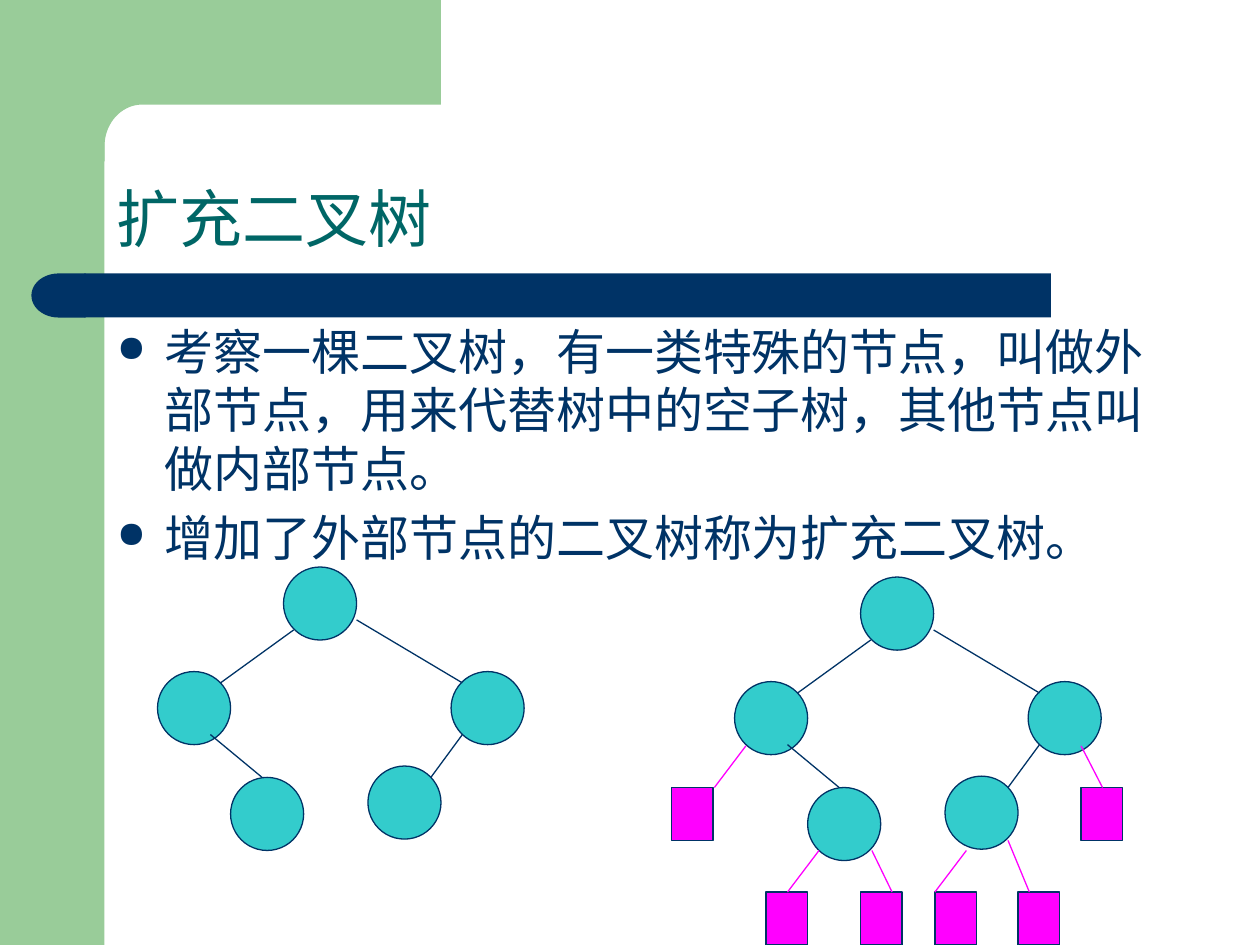
import math
import pptx
import pptx.util
import pptx.dml.color
import pptx.enum.shapes
import pptx.enum.text
import pptx.oxml
import pptx.oxml.ns

Inches = pptx.util.Inches
Pt = pptx.util.Pt
SHAPES = pptx.enum.shapes.MSO_SHAPE
ANCHORS = pptx.enum.text.MSO_ANCHOR

# Content
TITLE = "扩充二叉树"
BULLETS = [
    "考察一棵二叉树，有一类特殊的节点，叫做外部节点，用来代替树中的空子树，其他节点叫做内部节点。",
    "增加了外部节点的二叉树称为扩充二叉树。",
]

# The binary tree, placed once at the left and once at the right
INTERNAL_NODES = [(2.25, 4.5), (2.92, 6.08), (3.58, 5.33), (1.25, 5.33), (1.83, 6.17)]
INTERNAL_EDGES = [
    ((2.33, 5), (1.75, 5.42)),
    ((1.67, 5.83), (2.08, 6.17)),
    ((3.67, 5.83), (3.42, 6.17)),
    ((2.83, 4.92), (3.67, 5.42)),
]
TREE_OFFSETS = [(0, 0), (4.58, 0.08)]

# External nodes of the extended tree, grouped by level: top -> left edges
EXTERNAL_LEVELS = {6.25: [5.33, 8.58], 7.08: [6.08, 6.83, 7.42, 8.08]}
EXTERNAL_EDGES = [
    ((5.92, 5.92), (5.67, 6.25)),
    ((6.5, 6.75), (6.25, 7.08)),
    ((7.67, 6.75), (7.42, 7.08)),
    ((6.92, 6.75), (7.08, 7.08)),
    ((8, 6.67), (8.17, 7.08)),
    ((8.58, 5.92), (8.75, 6.25)),
]

THEME = {
    "font": "Arial",
    "title_size": 36,
    "body_size": 28,
    "line_width": 0.75,
    "green": "99CC99",
    "navy": "003366",
    "title": "006666",
    "internal": "33CCCC",
    "external": "FF00FF",
}
NODE_SIZE = 0.58
LEAF_WIDTH, LEAF_HEIGHT = 0.33, 0.42


def color(name):
    return pptx.dml.color.RGBColor.from_string(THEME[name])


def paint(shape, fill, line=None):
    shape.shadow.inherit = False
    shape.fill.solid()
    shape.fill.fore_color.rgb = color(fill)
    if line:
        shape.line.color.rgb = color(line)
        shape.line.width = Pt(THEME["line_width"])
    else:
        shape.line.fill.background()


def add_block(slide, kind, left, top, width, height, fill, line=None):
    shape = slide.shapes.add_shape(
        kind, Inches(left), Inches(top), Inches(width), Inches(height))
    paint(shape, fill, line)
    return shape


def add_edge(slide, start, end, line):
    connector = slide.shapes.add_connector(
        pptx.enum.shapes.MSO_CONNECTOR.STRAIGHT,
        *[Inches(value) for value in (*start, *end)])
    connector.line.color.rgb = color(line)
    connector.line.width = Pt(THEME["line_width"])
    properties = connector._element.spPr
    properties.append(pptx.oxml.parse_xml(
        f'<a:effectLst {pptx.oxml.ns.nsdecls("a")}/>'))


def add_bullet(paragraph, line_color):
    properties = paragraph._p.get_or_add_pPr()
    properties.set("marL", str(Inches(0.38)))
    properties.set("indent", str(-Inches(0.38)))
    namespace = pptx.oxml.ns.nsdecls("a")
    for markup in (
        f'<a:buClr {namespace}><a:srgbClr val="{THEME[line_color]}"/></a:buClr>',
        f'<a:buSzPct {namespace} val="75000"/>',
        f'<a:buChar {namespace} char="●"/>',
    ):
        properties.append(pptx.oxml.parse_xml(markup))


def add_text(slide, texts, box, size, text_color, anchor=ANCHORS.TOP,
             bullets=False, space_before=0, line_spacing=1.0):
    frame = slide.shapes.add_textbox(*[Inches(value) for value in box]).text_frame
    frame.word_wrap = True
    frame.vertical_anchor = anchor
    for index, text in enumerate(texts):
        paragraph = frame.add_paragraph() if index else frame.paragraphs[0]
        paragraph.line_spacing = line_spacing
        paragraph.space_before = Pt(space_before)
        if bullets:
            add_bullet(paragraph, text_color)
        run = paragraph.add_run()
        run.text = text
        run.font.name = THEME["font"]
        run.font.size = Pt(size)
        run.font.color.rgb = color(text_color)


def add_background(slide):
    add_block(slide, SHAPES.RECTANGLE, 0, 0, 0.83, 7.5, "green")
    # Corner panel with a rounded inner corner
    arc = [(1.13 - 0.3 * math.sin(angle), 1.16 - 0.33 * math.cos(angle))
           for angle in (math.radians(step) for step in range(0, 91, 5))]
    outline = [(3.5, 0), (3.5, 0.83), *arc, (0.83, 1.28), (0.5, 1.28), (0.5, 0)]
    points = [(Inches(x), Inches(y)) for x, y in outline]
    builder = slide.shapes.build_freeform(*points[0])
    builder.add_line_segments(points[1:], close=True)
    paint(builder.convert_to_shape(), "green")
    # Title rule with a round left end
    add_block(slide, SHAPES.RECTANGLE, 0.67, 2.17, 7.67, 0.35, "navy")
    cap = add_block(slide, SHAPES.FLOWCHART_DELAY, 0.25, 2.17, 0.43, 0.35, "navy")
    cap._element.spPr.get_or_add_xfrm().set("flipH", "1")


def add_trees(slide):
    for shift_x, shift_y in TREE_OFFSETS:
        for x, y in INTERNAL_NODES:
            add_block(slide, SHAPES.OVAL, x + shift_x, y + shift_y,
                      NODE_SIZE, NODE_SIZE, "internal", "navy")
        for edge in INTERNAL_EDGES:
            start, end = [(x + shift_x, y + shift_y) for x, y in edge]
            add_edge(slide, start, end, "navy")
    for top, lefts in EXTERNAL_LEVELS.items():
        for left in lefts:
            add_block(slide, SHAPES.RECTANGLE, left, top,
                      LEAF_WIDTH, LEAF_HEIGHT, "external", "navy")
    for start, end in EXTERNAL_EDGES:
        add_edge(slide, start, end, "external")


def main():
    presentation = pptx.Presentation()
    presentation.slide_width = Inches(10)
    presentation.slide_height = Inches(7.5)
    slide = presentation.slides.add_slide(presentation.slide_layouts[6])
    add_background(slide)
    add_text(slide, [TITLE], (0.83, 0.83, 8.67, 1.25), THEME["title_size"],
             "title", anchor=ANCHORS.BOTTOM, line_spacing=0.9)
    add_text(slide, BULLETS, (0.83, 2.5, 8.41, 4.07), THEME["body_size"],
             "navy", bullets=True, space_before=0.2 * THEME["body_size"])
    add_trees(slide)
    presentation.save("out.pptx")


if __name__ == "__main__":
    main()
